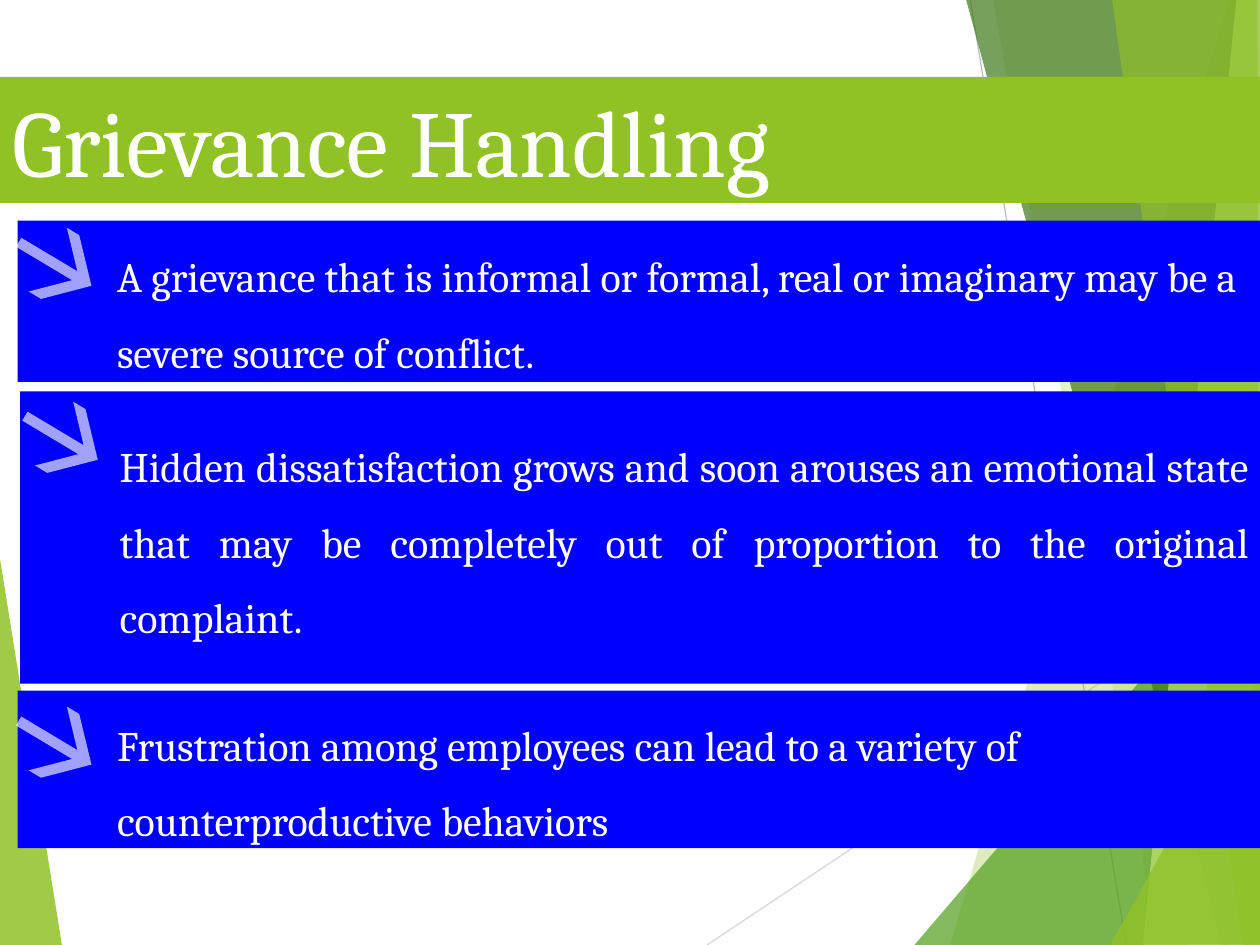
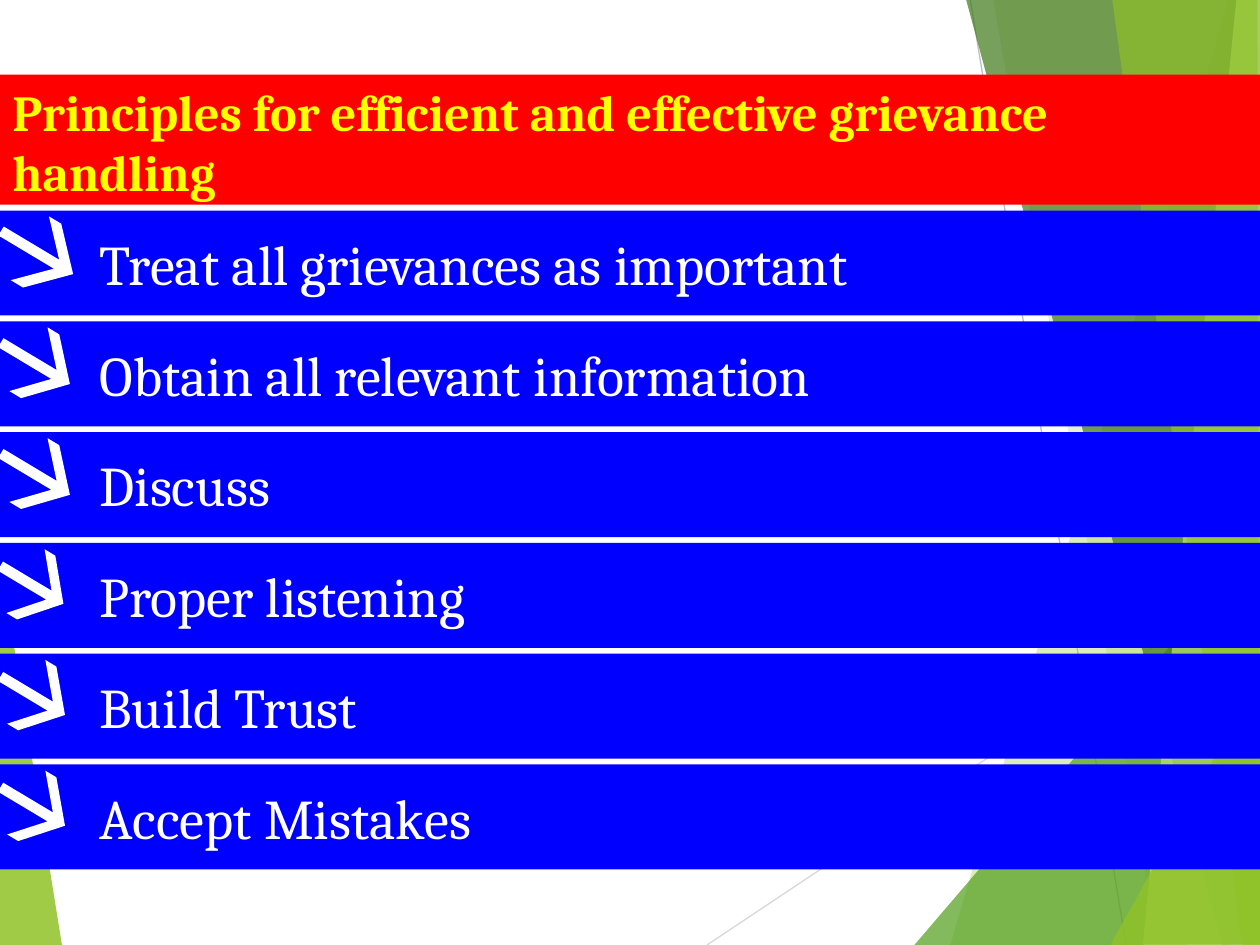
"""Builds two slides on grievance handling."""
from lxml import etree
from pptx import Presentation
from pptx.dml.color import RGBColor
from pptx.enum.shapes import MSO_CONNECTOR, MSO_SHAPE
from pptx.enum.text import MSO_ANCHOR, PP_ALIGN
from pptx.oxml.ns import qn
from pptx.util import Pt

RECTANGLE = MSO_SHAPE.RECTANGLE
STRAIGHT = MSO_CONNECTOR.STRAIGHT
TOP, MIDDLE = MSO_ANCHOR.TOP, MSO_ANCHOR.MIDDLE
LEFT, JUSTIFY = PP_ALIGN.LEFT, PP_ALIGN.JUSTIFY

FONT = "Cambria"
WIDTH, HEIGHT = 720, 540
COLORS = {
    "lime": "90C226",
    "green": "54A021",
    "forest": "3F7819",
    "pale": "C0E474",
    "light_rule": "D9D9D9",
    "dark_rule": "BFBFBF",
    "band": "0000FF",
    "alert": "FF0000",
    "yellow": "FFFF00",
    "white": "FFFFFF",
}

LEFT_FACET = ("lime", 85, [(-0.5, 316), (35.5, 540.5), (-0.5, 540)])
RULES = [
    ("light_rule", (404, 540), (720.5, 329)),
    ("dark_rule", (554.5, 0), (643.5, 540)),
]
RIGHT_FACETS = [
    ("lime", 30, [(702, 0), (543, 540), (721, 540.5), (720.5, 0.5)]),
    ("lime", 20, [(567.5, -0.5), (661.5, 540), (720.5, 540), (720.5, -0.5)]),
    ("green", 72, [(522.5, 540), (720, 309), (720.5, 540)]),
    ("forest", 70, [(552, -0.5), (698.5, 540), (720.5, 539.5), (720.5, -0.5)]),
    ("pale", 70, [(706.5, -0.5), (653, 540), (720.5, 540), (720, -0.5)]),
    ("lime", 65, [(635.5, -0.5), (710, 540), (720, 540), (718.5, -0.5)]),
    ("lime", 80, [(634.5, 540), (720.5, 385), (720.5, 539.5)]),
]
ARROW_OUTLINE = [
    (0.57, 1), (0.4, 1), (0.77, 0.57), (0, 0.57), (0, 0.43),
    (0.77, 0.43), (0.4, 0), (0.57, 0), (1, 0.5),
]
ARROW_HEIGHT, ARROW_TILT = 42.5, 30.9

CONFLICT_POINTS = [
    ("A grievance that is informal or formal, real or imaginary may be a "
     "severe source of conflict.",
     (10, 126, 710, 92.2), (7.2, 129.6), LEFT, 3.6),
    ("Hidden dissatisfaction grows and soon arouses an emotional state that "
     "may be completely out of proportion to the original complaint.",
     (11.5, 223.7, 709, 167), (10.8, 229), JUSTIFY, 13.6),
    ("Frustration among employees can lead to a variety of "
     "counterproductive behaviors",
     (10, 394.7, 710, 90), (7.2, 403.2), LEFT, 3.6),
]
PRINCIPLES = [
    ("Treat all grievances as important", 48),
    ("Obtain all relevant information", 46),
    ("Discuss", 46),
    ("Proper listening", 42),
    ("Build Trust", 43),
    ("Accept Mistakes", 43),
]
PRINCIPLES_TOP, PRINCIPLE_PITCH, PRINCIPLE_HEIGHT = 120.3, 63.3, 60


def rgb(color):
    """Return the RGB value of a named colour."""
    return RGBColor.from_string(COLORS[color])


def paint(shape, color, opacity=100):
    """Give a shape a flat fill with no line or shadow."""
    shape.shadow.inherit = False
    shape.line.fill.background()
    shape.fill.solid()
    shape.fill.fore_color.rgb = rgb(color)
    if opacity < 100:
        hue = shape.fill._xPr.find(".//" + qn("a:srgbClr"))
        etree.SubElement(hue, qn("a:alpha"), val=str(opacity * 1000))


def add_outline(shapes, points, color, opacity):
    """Draw a closed polygon from points on the slide."""
    start, *rest = [(Pt(x), Pt(y)) for x, y in points]
    builder = shapes.build_freeform(*start)
    builder.add_line_segments(rest, close=True)
    outline = builder.convert_to_shape()
    paint(outline, color, opacity)
    return outline


def add_backdrop(slide):
    """Draw the translucent facets and thin rules behind the content."""
    backdrop = slide.shapes.add_group_shape().shapes
    color, opacity, points = LEFT_FACET
    add_outline(backdrop, points, color, opacity)
    for color, start, end in RULES:
        rule = backdrop.add_connector(STRAIGHT, *map(Pt, start + end))
        rule.line.color.rgb = rgb(color)
        rule.line.width = Pt(0.75)
        etree.SubElement(rule._element.spPr, qn("a:effectLst"))
    for color, opacity, points in RIGHT_FACETS:
        add_outline(backdrop, points, color, opacity)


def add_band(slide, box, text, size, fill="band", color="white", inset=56.9,
             bottom=3.6, anchor=MIDDLE, align=LEFT, spacing=None, bold=False):
    """Draw a filled rectangle holding one paragraph."""
    band = slide.shapes.add_shape(RECTANGLE, *map(Pt, box))
    paint(band, fill)
    frame = band.text_frame
    frame.word_wrap = True
    frame.vertical_anchor = anchor
    frame.margin_left, frame.margin_right = Pt(inset), Pt(7.2)
    frame.margin_top, frame.margin_bottom = Pt(3.6), Pt(bottom)
    paragraph = frame.paragraphs[0]
    paragraph.text = text
    paragraph.alignment = align
    paragraph.line_spacing = spacing
    paragraph.font.name = FONT
    paragraph.font.size = Pt(size)
    paragraph.font.bold = bold
    paragraph.font.color.rgb = rgb(color)


def add_title(slide, box, text, size, fill, color, bold=False):
    """Draw the full-width title band."""
    add_band(slide, box, text, size, fill, color, inset=7.2, anchor=TOP,
             bold=bold)


def add_arrow(slide, left, top, width, opacity=100):
    """Draw a tilted arrow bullet within its unrotated box."""
    points = [(left + x * width, top + y * ARROW_HEIGHT)
              for x, y in ARROW_OUTLINE]
    add_outline(slide.shapes, points, "white", opacity).rotation = ARROW_TILT


def new_slide(deck):
    """Add a blank slide with the shared backdrop."""
    slide = deck.slides.add_slide(deck.slide_layouts[6])
    add_backdrop(slide)
    return slide


def build_handling_slide(deck):
    """Build the slide on how grievances turn into conflict."""
    slide = new_slide(deck)
    add_title(slide, (0, 44, WIDTH, 72), "Grievance Handling", 54,
              "lime", "white")
    for text, box, arrow_corner, align, bottom in CONFLICT_POINTS:
        add_band(slide, box, text, 24, bottom=bottom, align=align, spacing=1.5)
        add_arrow(slide, *arrow_corner, 48.5, opacity=63)


def build_principles_slide(deck):
    """Build the slide listing the principles as evenly spaced bands."""
    slide = new_slide(deck)
    add_title(slide, (0, 42.7, WIDTH, 74.3),
              "Principles for efficient and effective grievance handling",
              28.8, "alert", "yellow", bold=True)
    for row, (principle, arrow_width) in enumerate(PRINCIPLES):
        top = PRINCIPLES_TOP + row * PRINCIPLE_PITCH
        add_band(slide, (0, top, WIDTH, PRINCIPLE_HEIGHT), principle, 32)
        add_arrow(slide, -2.8, top + 2.8, arrow_width)


def main():
    """Build and save the deck."""
    deck = Presentation()
    deck.slide_width, deck.slide_height = Pt(WIDTH), Pt(HEIGHT)
    build_handling_slide(deck)
    build_principles_slide(deck)
    deck.save("out.pptx")


if __name__ == "__main__":
    main()
